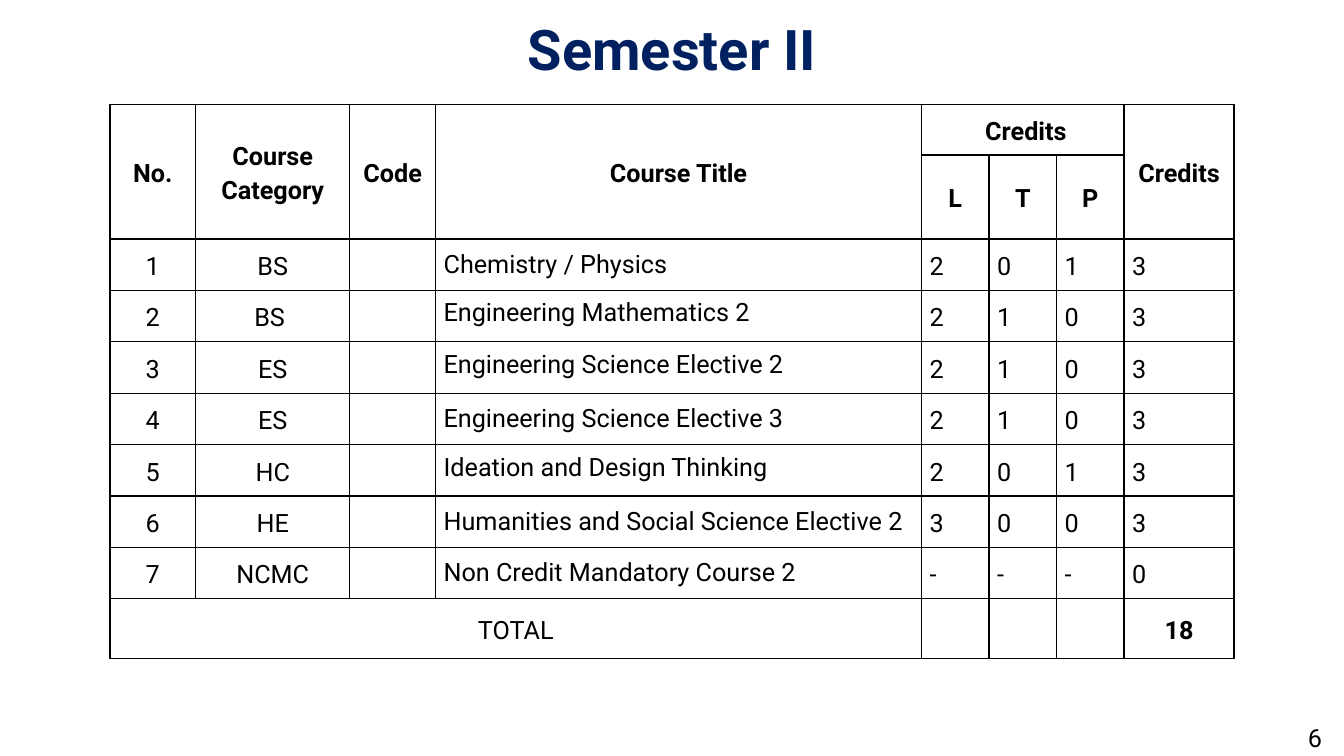
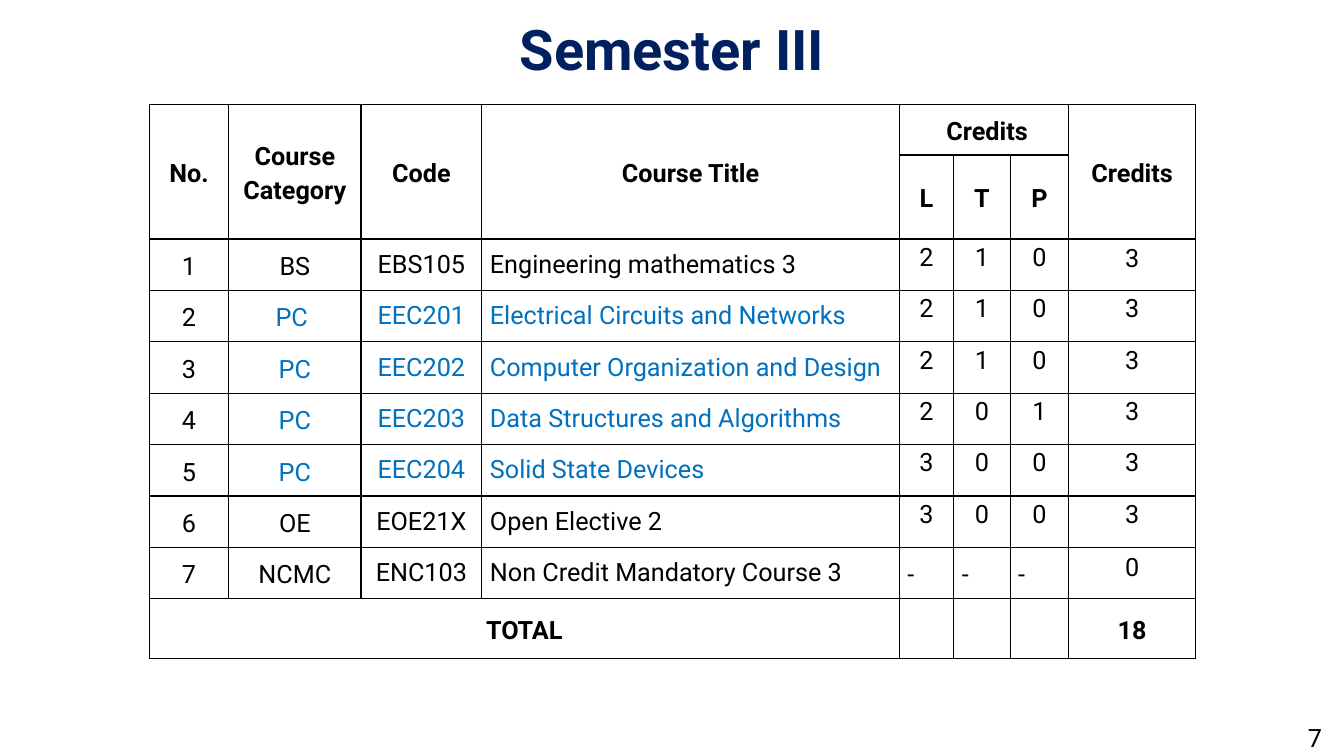
from dataclasses import dataclass

from lxml import etree
from pptx import Presentation
from pptx import util as u
from pptx.dml.color import RGBColor
from pptx.enum import text as t
from pptx.oxml import ns

CENTER, LEFT, RIGHT = t.PP_ALIGN.CENTER, t.PP_ALIGN.LEFT, t.PP_ALIGN.RIGHT
TOP, MIDDLE = t.MSO_ANCHOR.TOP, t.MSO_ANCHOR.MIDDLE


@dataclass(frozen=True)
class Theme:
    """Colours, type sizes and spacing shared by the slides."""
    font: str = "Roboto"
    heading: str = "002060"
    ink: str = "000000"
    core: str = "0070C0"
    heading_size: int = 40
    body_size: int = 18
    loose: float = 1.15
    tight: float = 0.9
    inset: float = 0.08
    rule: int = 1


@dataclass(frozen=True)
class Semester:
    """One semester's courses and the way its table is set."""
    title: str
    page: int
    left: float
    widths: tuple
    courses: tuple
    raised_titles: tuple = ()
    centred_credits: bool = False
    bold_total: bool = False


THEME = Theme()
SLIDE_W, SLIDE_H = 13.33, 7.5
TITLE_H = 1.04
ROW_HEIGHTS = (0.49, 0.83) + (0.51,) * 7 + (0.59,)
HEADINGS = ("No.", "Course Category", "Code", "Course Title", " Credits", None, None, "Credits")
HOURS = {4: "L", 5: "T", 6: "P"}

SEMESTERS = (
    Semester(
        "Semester II", 6, 1.09, (0.85, 1.53, 0.85, 4.82, 0.67, 0.67, 0.67, 1.09),
        (
            ("BS", "", "Chemistry / Physics", "2", "0", "1", "3"),
            ("BS ", "", "Engineering Mathematics 2", "2", "1", "0", "3"),
            ("ES", "", "Engineering Science Elective 2", "2", "1", "0", "3"),
            ("ES", "", "Engineering Science Elective 3", "2", "1", "0", "3"),
            ("HC", "", "Ideation and Design Thinking", "2", "0", "1", "3"),
            ("HE", "", "Humanities and Social Science Elective 2", "3", "0", "0", "3"),
            ("NCMC", "", "Non Credit Mandatory Course 2", "-", "-", "-", "0"),
        ),
        raised_titles=(2, 3, 5),
    ),
    Semester(
        "Semester III", 7, 1.48, (0.79, 1.31, 1.2, 4.14, 0.54, 0.56, 0.58, 1.26),
        (
            ("BS", "EBS105", "Engineering mathematics 3", "2", "1", "0", "3"),
            ("PC ", "EEC201", "Electrical Circuits and Networks", "2", "1", "0", "3"),
            ("PC", "EEC202", "Computer Organization and Design", "2", "1", "0", "3"),
            ("PC", "EEC203", "Data Structures and Algorithms", "2", "0", "1", "3"),
            ("PC", "EEC204", "Solid State Devices", "3", "0", "0", "3"),
            ("OE", "EOE21X", "Open Elective 2", "3", "0", "0", "3"),
            ("NCMC", "ENC103", "Non Credit Mandatory Course 3", "-", "-", "-", "0"),
        ),
        centred_credits=True,
        bold_total=True,
    ),
)


def write(frame, words, align, size=THEME.body_size, color=THEME.ink, bold=False, spacing=None):
    """Fill a text frame with one formatted paragraph."""
    frame.text = words
    line = frame.paragraphs[0]
    line.alignment = align
    line.line_spacing = spacing
    for run in line.runs:
        run.font.name = THEME.font
        run.font.size = u.Pt(size)
        run.font.bold = bold
        run.font.color.rgb = RGBColor.from_string(color)


def frame_cell(cell):
    """Give a cell its insets, clear fill and four black rules."""
    cell.margin_left = cell.margin_right = u.Inches(THEME.inset)
    cell.margin_top = cell.margin_bottom = u.Inches(THEME.inset)
    cell.vertical_anchor = MIDDLE
    cell.fill.background()
    properties = cell._tc.get_or_add_tcPr()
    for place, side in enumerate(("lnL", "lnR", "lnT", "lnB")):
        rule = etree.Element(ns.qn(f"a:{side}"), w=str(u.Pt(THEME.rule)))
        paint = etree.SubElement(rule, ns.qn("a:solidFill"))
        etree.SubElement(paint, ns.qn("a:srgbClr"), val=THEME.ink)
        properties.insert(place, rule)


def add_title(slide, words, left, top, width, height):
    """Place the slide title in its box."""
    title = slide.shapes.title
    title.left, title.top, title.width, title.height = map(u.Inches, (left, top, width, height))
    title.text_frame.vertical_anchor = MIDDLE
    title.text_frame.auto_size = t.MSO_AUTO_SIZE.NONE
    write(title.text_frame, words, CENTER, THEME.heading_size, THEME.heading, True, THEME.tight)


def add_page_number(slide, page, left, top, width, height):
    """Place the page number in its box."""
    number = slide.shapes.add_textbox(*map(u.Inches, (left, top, width, height)))
    number.text_frame.word_wrap = True
    write(number.text_frame, str(page), RIGHT)


def fill_header(grid):
    """Write the two header rows and merge their cells."""
    for col, heading in enumerate(HEADINGS):
        if col in HOURS:
            write(grid.cell(1, col).text_frame, HOURS[col], CENTER, bold=True, spacing=THEME.loose)
        else:
            grid.cell(0, col).merge(grid.cell(1, col))
        if heading:
            write(grid.cell(0, col).text_frame, heading, CENTER, bold=True, spacing=THEME.loose)
    grid.cell(0, min(HOURS)).merge(grid.cell(0, max(HOURS)))


def credit_format(semester, number, col, value):
    """Return the alignment and line spacing of a credit value."""
    if not semester.centred_credits or value == "-":
        return LEFT, THEME.loose
    outer = col == 7 and number in (1, len(semester.courses))
    return CENTER, u.Pt(13.5 if outer else 11.2)


def fill_course(grid, semester, number, course):
    """Write one course row, with core courses in blue."""
    row = number + 1
    category, code, name, *credits = course
    color = THEME.core if category.strip() == "PC" else THEME.ink
    write(grid.cell(row, 0).text_frame, str(number), CENTER, spacing=THEME.loose)
    write(grid.cell(row, 1).text_frame, category, CENTER, color=color, spacing=THEME.loose)
    write(grid.cell(row, 2).text_frame, code, CENTER, color=color)
    write(grid.cell(row, 3).text_frame, name, LEFT, color=color)
    if number in semester.raised_titles:
        grid.cell(row, 3).vertical_anchor = TOP
    for col, value in enumerate(credits, 4):
        align, spacing = credit_format(semester, number, col, value)
        write(grid.cell(row, col).text_frame, value, align, spacing=spacing)


def fill_total(grid, semester):
    """Write the closing row with the sum of the credits."""
    row = len(ROW_HEIGHTS) - 1
    total = sum(int(course[-1]) for course in semester.courses)
    grid.cell(row, 0).merge(grid.cell(row, 3))
    write(grid.cell(row, 0).text_frame, "TOTAL", CENTER,
          bold=semester.bold_total, spacing=THEME.loose)
    write(grid.cell(row, 7).text_frame, str(total), CENTER, bold=True, spacing=THEME.loose)


def add_course_table(slide, semester, left, top):
    """Place the course table with its top left corner at the given point."""
    size = sum(semester.widths), sum(ROW_HEIGHTS)
    grid = slide.shapes.add_table(
        len(ROW_HEIGHTS), len(semester.widths), *map(u.Inches, (left, top, *size))).table
    grid.first_row = grid.horz_banding = False
    for column, width in zip(grid.columns, semester.widths):
        column.width = u.Inches(width)
    for row, height in zip(grid.rows, ROW_HEIGHTS):
        row.height = u.Inches(height)
    for cell in grid.iter_cells():
        frame_cell(cell)
    fill_header(grid)
    for number, course in enumerate(semester.courses, 1):
        fill_course(grid, semester, number, course)
    fill_total(grid, semester)


def add_semester(deck, semester):
    """Add one semester slide."""
    slide = deck.slides.add_slide(deck.slide_layouts.get_by_name("Title Only"))
    add_course_table(slide, semester, semester.left, TITLE_H)
    add_title(slide, semester.title, 0, 0, SLIDE_W, TITLE_H)
    add_page_number(slide, semester.page, 10.21, 7.12, 3, 0.4)


def main():
    """Build and save the deck."""
    deck = Presentation()
    deck.slide_width, deck.slide_height = u.Inches(SLIDE_W), u.Inches(SLIDE_H)
    for semester in SEMESTERS:
        add_semester(deck, semester)
    deck.save("out.pptx")


if __name__ == "__main__":
    main()
